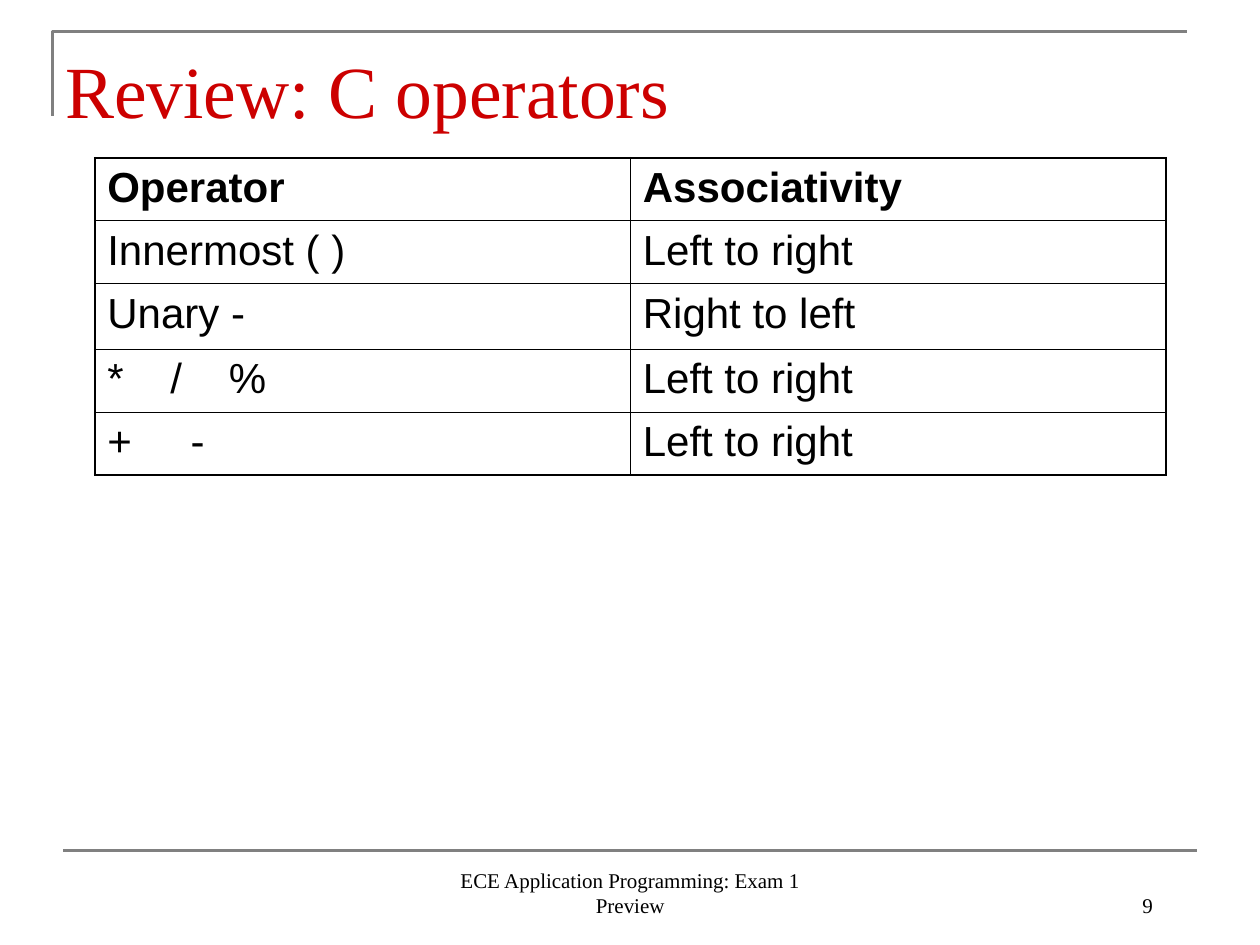
from dataclasses import dataclass
from lxml.etree import SubElement
from pptx import Presentation
from pptx.dml.color import RGBColor
from pptx.enum.shapes import MSO_CONNECTOR
from pptx.enum.text import MSO_ANCHOR, PP_ALIGN
from pptx.oxml.ns import qn
from pptx.util import Cm, Pt

COLORS = {"rule": "808080", "title": "CC0000", "text": "000000"}
SERIF, SANS = "Times New Roman", "Arial"
THIN, THICK = Pt(0.45), Pt(1.08)


@dataclass
class Row:
    operator: str
    associativity: str
    height: float = 1.27
    tabs: tuple[float, ...] = ()


@dataclass
class Footer:
    text: str
    left: float
    width: float
    align: PP_ALIGN


ROWS = [
    Row("Operator", "Associativity"),
    Row("Innermost ( )", "Left to right"),
    Row("Unary -", "Right to left", 1.32),
    Row("*\t/\t%", "Left to right", tabs=(1.27, 2.45)),
    Row("+\t-", "Left to right", tabs=(1.68,)),
]
FOOTERS = [
    Footer("9", 18.2, 5.29, PP_ALIGN.RIGHT),
    Footer("ECE Application Programming: Exam 1 Preview", 8.68, 8.05, PP_ALIGN.CENTER),
]


def color(name: str) -> RGBColor:
    return RGBColor.from_string(COLORS[name])


def write(tf, text: str, name: str, size: float, bold: bool = False, hue: str = "text"):
    p = tf.paragraphs[0]
    r = p.add_run()
    r.text = text
    for key, value in {"name": name, "size": Pt(size), "bold": bold}.items():
        setattr(r.font, key, value)
    r.font.color.rgb = color(hue)
    return p


def style_rule(sp) -> None:
    sp.line.color.rgb = color("rule")
    sp.line.width = Pt(1.5)


def add_rules(shapes) -> None:
    fb = shapes.build_freeform(Cm(1.06), Cm(2.33))
    fb.add_line_segments([(Cm(1.06), Cm(0.64)), (Cm(23.92), Cm(0.64))], close=False)
    corner = fb.convert_to_shape()
    corner.fill.background()
    corner.shadow.inherit = False
    style_rule(corner)
    line = shapes.add_connector(MSO_CONNECTOR.STRAIGHT, Cm(1.27), Cm(17.15), Cm(24.13), Cm(17.15))
    style_rule(line)
    SubElement(line._element.spPr, qn("a:effectLst"))


def add_title(sp) -> None:
    place = {"left": Cm(1.06), "top": Cm(0.64), "width": Cm(21.59), "height": Cm(2.33)}
    for key, value in place.items():
        setattr(sp, key, value)
    tf = sp.text_frame
    tf.vertical_anchor = MSO_ANCHOR.MIDDLE
    write(tf, "Review: C operators", SERIF, 42, hue="title").alignment = PP_ALIGN.LEFT


def set_borders(cell, widths: dict[str, int]) -> None:
    tcPr = cell._tc.get_or_add_tcPr()
    for side, width in widths.items():
        ln = SubElement(tcPr, qn(f"a:ln{side}"), w=str(int(width)))
        SubElement(SubElement(ln, qn("a:solidFill")), qn("a:srgbClr"), val=COLORS["text"])


def set_tabs(p, stops: tuple[float, ...]) -> None:
    tabs = SubElement(p._p.get_or_add_pPr(), qn("a:tabLst"))
    for stop in stops:
        SubElement(tabs, qn("a:tab"), pos=str(int(Cm(stop))), algn="l")


def add_operator_table(shapes, rows: list[Row]) -> None:
    height = sum(row.height for row in rows)
    table = shapes.add_table(len(rows), 2, Cm(1.91), Cm(3.18), Cm(21.59), Cm(height)).table
    table.first_row = table.horz_banding = False
    for i, row in enumerate(rows):
        table.rows[i].height = Cm(row.height)
        for j, text in enumerate((row.operator, row.associativity)):
            cell = table.cell(i, j)
            set_borders(cell, {
                "L": THICK if j == 0 else THIN,
                "R": THICK if j == 1 else THIN,
                "T": THICK if i == 0 else THIN,
                "B": THICK if i == len(rows) - 1 else THIN,
            })
            cell.fill.background()
            p = write(cell.text_frame, text, SANS, 24, bold=i == 0)
            if j == 0 and row.tabs:
                set_tabs(p, row.tabs)


def add_footer(shapes, footer: Footer) -> None:
    tf = shapes.add_textbox(Cm(footer.left), Cm(17.35), Cm(footer.width), Cm(1.27)).text_frame
    tf.word_wrap = True
    tf.vertical_anchor = MSO_ANCHOR.BOTTOM
    write(tf, footer.text, SERIF, 12).alignment = footer.align


def main() -> None:
    prs = Presentation()
    prs.slide_width, prs.slide_height = Cm(25.4), Cm(19.05)
    s = prs.slides.add_slide(prs.slide_layouts[5])
    add_rules(s.shapes)
    add_title(s.shapes.title)
    add_operator_table(s.shapes, ROWS)
    for footer in FOOTERS:
        add_footer(s.shapes, footer)
    prs.save("out.pptx")


if __name__ == "__main__":
    main()
